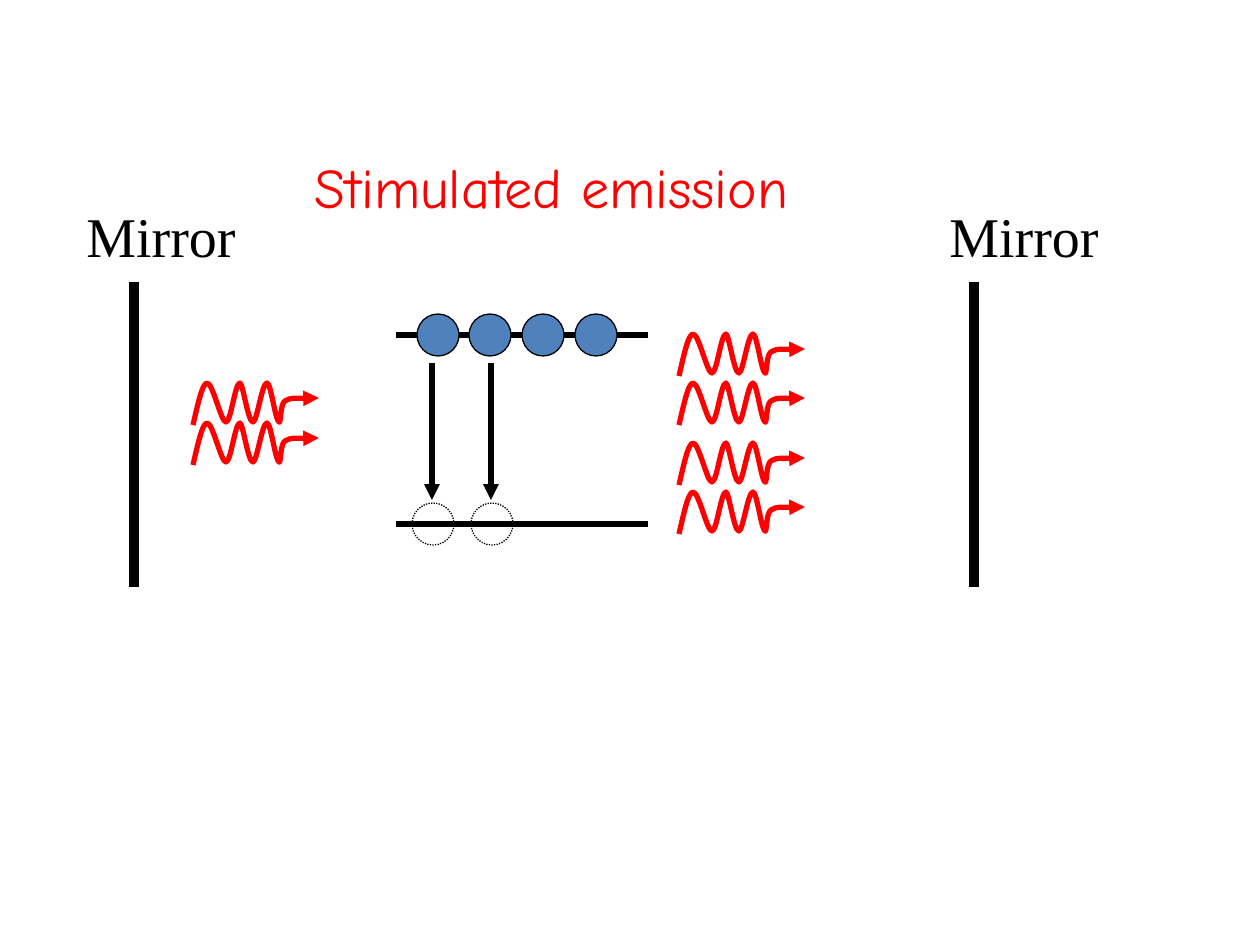
from lxml.etree import SubElement
from pptx import Presentation
from pptx.dml.color import RGBColor as RGB
from pptx.enum.dml import MSO_LINE as Dash
from pptx.enum.shapes import MSO_CONNECTOR as Conn, MSO_SHAPE as Kind
from pptx.enum.text import MSO_AUTO_SIZE as Fit
from pptx.oxml.ns import qn
from pptx.util import Pt

SCALE = 914400 / 126
COLORS = {"ink": "000000", "red": "FF0000", "blue": "4F81BD"}
WAVE = [
    (0, 42),
    (5, 21), (9, 1), (14, 0),
    (20, 0), (28, 39), (33, 39),
    (38, 39), (42, 0), (47, 0),
    (50, 0), (55, 39), (60, 39),
    (64, 39), (69, 0), (74, 0),
    (78, 0), (82, 36), (86, 39),
    (88, 42), (87, 21), (92, 18),
    (98, 14), (113, 16), (120, 15),
    (122, 15), (124, 15), (126, 15),
]


def px(*vals):
    return [round(v * SCALE) for v in vals]


class Board:
    def __init__(self, slide):
        self.slide = slide
        self.size = Pt(32)

    def stroke(self, shape, color, width, arrow=False):
        line = shape.line
        line.color.rgb = RGB.from_string(COLORS[color])
        line.width = Pt(width)
        if arrow:
            SubElement(line._get_or_add_ln(), qn("a:tailEnd"), type="triangle")

    def line(self, x1, y1, x2, y2, width=3, arrow=False):
        link = self.slide.shapes.add_connector(Conn.STRAIGHT, *px(x1, y1, x2, y2))
        self.stroke(link, "ink", width, arrow)
        SubElement(link._element.spPr, qn("a:effectLst"))

    def ball(self, x, y, fill=None):
        ball = self.slide.shapes.add_shape(Kind.OVAL, *px(x, y, 42, 42))
        ball.shadow.inherit = False
        self.stroke(ball, "ink", 0.75)
        if fill:
            ball.fill.solid()
            ball.fill.fore_color.rgb = RGB.from_string(COLORS[fill])
        else:
            ball.fill.background()
            ball.line.dash_style = Dash.ROUND_DOT

    def text(self, x, y, w, h, words, font, color):
        frame = self.slide.shapes.add_textbox(*px(x, y, w, h)).text_frame
        frame.word_wrap = False
        frame.auto_size = Fit.SHAPE_TO_FIT_TEXT
        run = frame.paragraphs[0].add_run()
        run.text = words
        run.font.name = font
        run.font.size = self.size
        run.font.color.rgb = RGB.from_string(COLORS[color])

    def wave(self, x, y):
        start, *rest = [px(x + dx, y + dy) for dx, dy in WAVE]
        pen = self.slide.shapes.build_freeform(*start, scale=1.0)
        pen.add_line_segments(rest, close=False)
        wave = pen.convert_to_shape()
        wave.shadow.inherit = False
        wave.fill.background()
        self.stroke(wave, "red", 3, arrow=True)
        parts = list(wave._element.iter(qn("a:lnTo")))
        route = parts[0].getparent()
        for i in range(0, len(parts), 3):
            curve = SubElement(route, qn("a:cubicBezTo"))
            for part in parts[i:i + 3]:
                curve.append(part[0])
                route.remove(part)


def main():
    deck = Presentation()
    deck.slide_width, deck.slide_height = px(1260, 945)
    board = Board(deck.slides.add_slide(deck.slide_layouts[6]))

    for x in (134, 974):
        board.line(x, 282, x, 587, width=6)
    for y in (335, 524):
        board.line(396, y, 648, y)
    for i in range(4):
        board.ball(417 + i * 158 // 3, 314, "blue")

    for x in (74, 937):
        board.text(x, 195, 175, 79, "Mirror", "Times New Roman", "ink")
    board.text(302, 146, 548, 79, "Stimulated emission", "Comic Neue", "red")

    for x in (432, 491):
        board.ball(x - 20, 503)
        board.line(x, 363, x, 500, arrow=True)

    for y in (383, 423):
        board.wave(193, y)
    for y in (334, 383, 443, 492):
        board.wave(679, y)

    deck.save("out.pptx")


if __name__ == "__main__":
    main()
